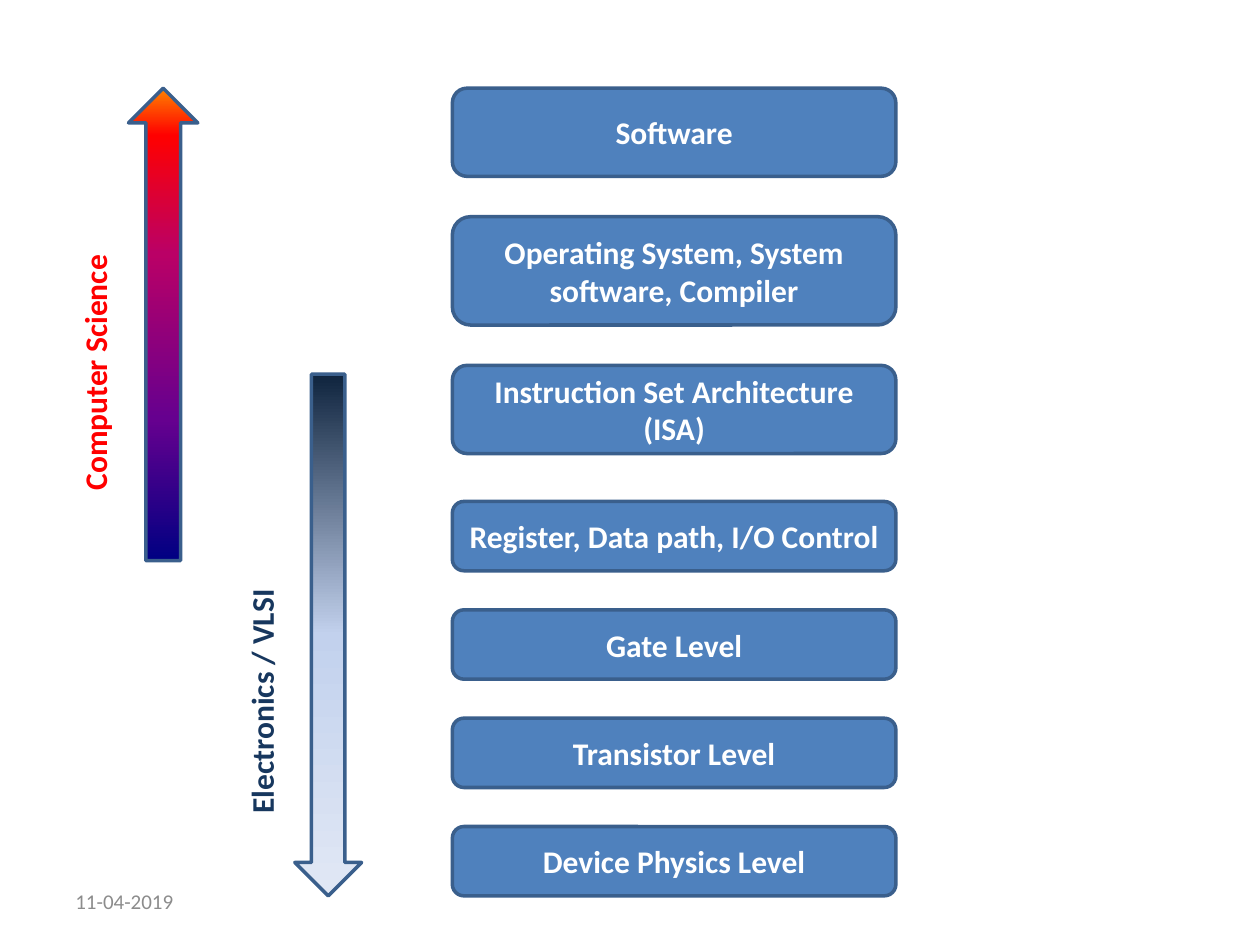
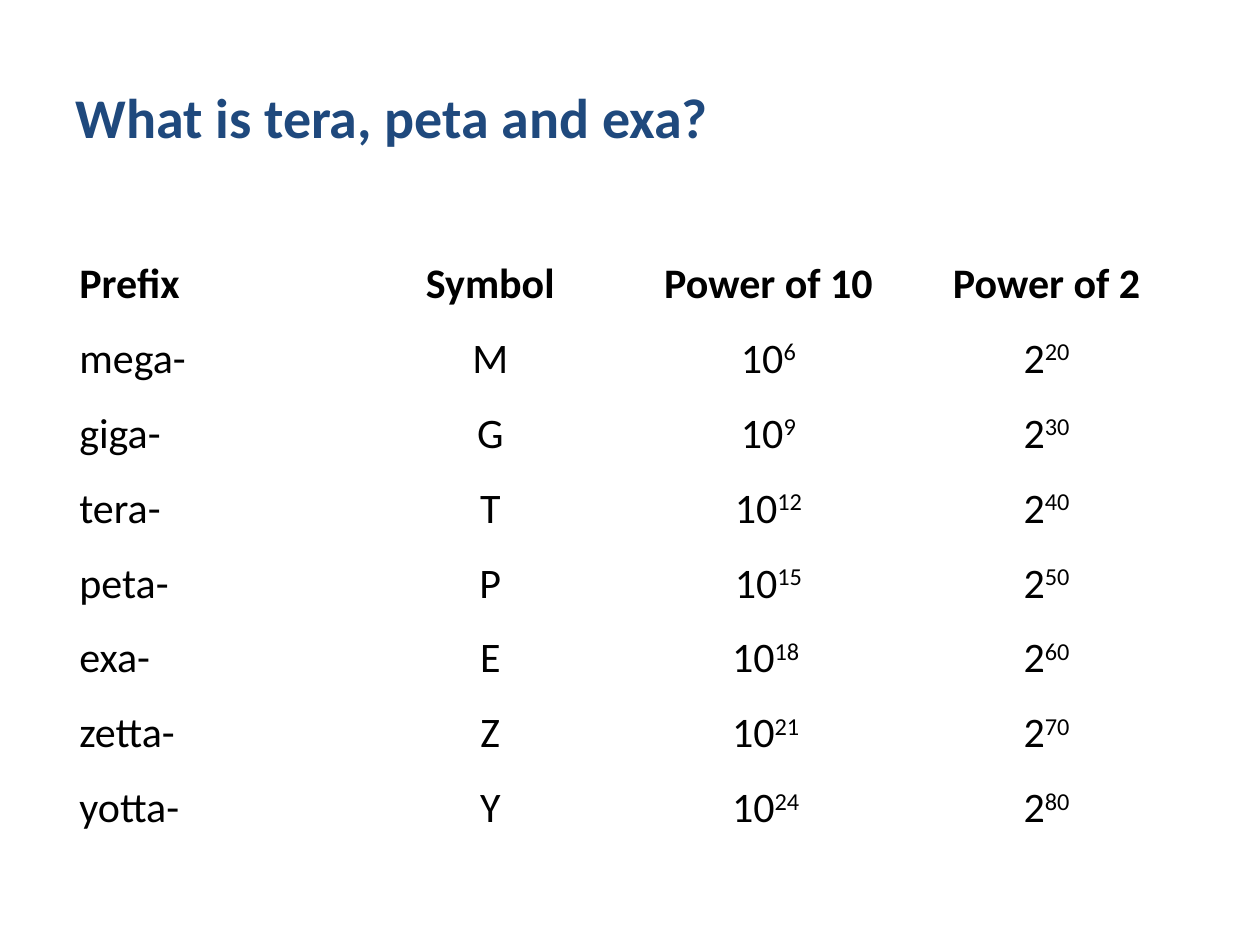
from lxml.etree import SubElement
from pptx import Presentation
from pptx.dml.color import RGBColor
from pptx.enum.shapes import MSO_SHAPE
from pptx.enum.text import MSO_ANCHOR, PP_ALIGN
from pptx.oxml.ns import qn
from pptx.util import Inches, Pt

FONT = "Calibri"
WHITE = RGBColor(0xFF, 0xFF, 0xFF)
BLACK = RGBColor(0, 0, 0)
RED = RGBColor(0xFF, 0, 0)
GRAY = RGBColor(0x8C, 0x8C, 0x8C)
BLUE = RGBColor(0x4F, 0x81, 0xBD)
EDGE = RGBColor(0x3A, 0x5F, 0x8C)
NAVY = RGBColor(0x17, 0x37, 0x5E)
TITLE = RGBColor(0x1F, 0x49, 0x7D)
WARM = [(0, "000082"), (30, "66008F"), (65, "BA0066"), (90, "FF0000"), (100, "FF8200")]
COOL = [(0, "0F243E"), (50, "C2D1ED"), (100, "E1E8F5")]

UPPER = [
    ("Software", 0.7),
    ("Operating System, System software, Compiler", 0.86),
    ("Instruction Set Architecture (ISA)", 0.7),
]
LOWER = [
    ("Register, Data path, I/O Control", 0.55),
    ("Gate Level", 0.55),
    ("Transistor Level", 0.55),
    ("Device Physics Level", 0.55),
]
HEADS = ["Prefix", "Symbol", "Power of 10", "Power of 2"]
UNITS = [
    ("mega-", "M", "6", "20"),
    ("giga-", "G", "9", "30"),
    ("tera-", "T", "12", "40"),
    ("peta-", "P", "15", "50"),
    ("exa-", "E", "18 ", "60"),
    ("zetta-", "Z", "21 ", "70"),
    ("yotta-", "Y", "24 ", "80"),
]


def style(para, size, color, bold=False, align=PP_ALIGN.LEFT):
    para.alignment = align
    font = para.font
    font.name, font.size, font.bold = FONT, Pt(size), bold
    font.color.rgb = color


def add_text(slide, box, text, size, color, bold=False, turn=0):
    shape = slide.shapes.add_textbox(*map(Inches, box))
    shape.rotation = turn
    frame = shape.text_frame
    frame.word_wrap = True
    frame.text = text
    style(frame.paragraphs[0], size, color, bold)
    return frame


def add_form(slide, kind, box):
    shape = slide.shapes.add_shape(kind, *map(Inches, box))
    shape.shadow.inherit = False
    shape.line.color.rgb = EDGE
    shape.line.width = Pt(2)
    return shape


def add_stack(slide, box, levels, gap):
    left, top, width = box
    for text, height in levels:
        shape = add_form(slide, MSO_SHAPE.ROUNDED_RECTANGLE, (left, top, width, height))
        shape.fill.solid()
        shape.fill.fore_color.rgb = BLUE
        frame = shape.text_frame
        frame.text = text
        frame.vertical_anchor = MSO_ANCHOR.MIDDLE
        style(frame.paragraphs[0], 18, WHITE, True, PP_ALIGN.CENTER)
        top += height + gap


def add_arrow(slide, box, stops, turn=0):
    shape = add_form(slide, MSO_SHAPE.DOWN_ARROW, box)
    shape.rotation = turn
    shape.fill.gradient()
    shape.fill.gradient_angle = 270
    ramp = shape.element.spPr.find(qn("a:gradFill")).find(qn("a:gsLst"))
    for old in list(ramp):
        ramp.remove(old)
    for place, color in stops:
        stop = SubElement(ramp, qn("a:gs"), pos=str(place * 1000))
        SubElement(stop, qn("a:srgbClr"), val=color)


def fill_cell(cell, text, power, bold, align):
    cell.fill.solid()
    cell.fill.fore_color.rgb = WHITE
    cell.margin_left = cell.margin_right = Inches(0.05)
    cell.margin_top = cell.margin_bottom = Inches(0.05)
    para = cell.text_frame.paragraphs[0]
    para.add_run().text = text
    if power:
        run = para.add_run()
        run.text = power
        run.font.element.set("baseline", "30000") if hasattr(run.font, "element") else run._r.get_or_add_rPr().set("baseline", "30000")
    style(para, 24, BLACK, bold, align)


def add_grid(slide, box):
    rows = [[(head, "") for head in HEADS]]
    rows += [[(name, ""), (sign, ""), ("10", ten), ("2", two)] for name, sign, ten, two in UNITS]
    table = slide.shapes.add_table(len(rows), len(HEADS), *map(Inches, box)).table
    table.first_row = table.horz_banding = False
    for r, row in enumerate(rows):
        for c, (text, power) in enumerate(row):
            align = PP_ALIGN.CENTER if c else PP_ALIGN.LEFT
            fill_cell(table.cell(r, c), text, power, r == 0, align)


def add_levels(deck):
    slide = deck.slides.add_slide(deck.slide_layouts[6])
    date = add_text(slide, (0.5, 6.95, 2.33, 0.4), "11-04-2019", 12, GRAY)
    date.vertical_anchor = MSO_ANCHOR.MIDDLE
    add_stack(slide, (3.59, 0.7, 3.52), UPPER, 0.32)
    add_stack(slide, (3.59, 3.98, 3.52), LOWER, 0.31)
    add_arrow(slide, (1.02, 0.7, 0.55, 3.75), WARM, 180)
    add_arrow(slide, (2.34, 2.97, 0.53, 4.14), COOL)
    add_text(slide, (-0.46, 2.58, 2.42, 0.4), "Computer Science", 18, RED, True, 270)
    add_text(slide, (0.91, 5.19, 2.33, 0.4), "Electronics / VLSI", 18, NAVY, True, 270)


def add_units(deck):
    slide = deck.slides.add_slide(deck.slide_layouts[5])
    title = slide.shapes.title
    title.left, title.top, title.width, title.height = map(Inches, (0.5, 0.3, 9, 1.25))
    title.text_frame.text = "What is tera, peta and exa?"
    title.text_frame.vertical_anchor = MSO_ANCHOR.MIDDLE
    style(title.text_frame.paragraphs[0], 32, TITLE, True)
    add_grid(slide, (0.58, 2, 8.83, 4.76))


def main():
    deck = Presentation()
    deck.slide_width, deck.slide_height = Inches(10), Inches(7.5)
    add_levels(deck)
    add_units(deck)
    deck.save("out.pptx")


if __name__ == "__main__":
    main()
